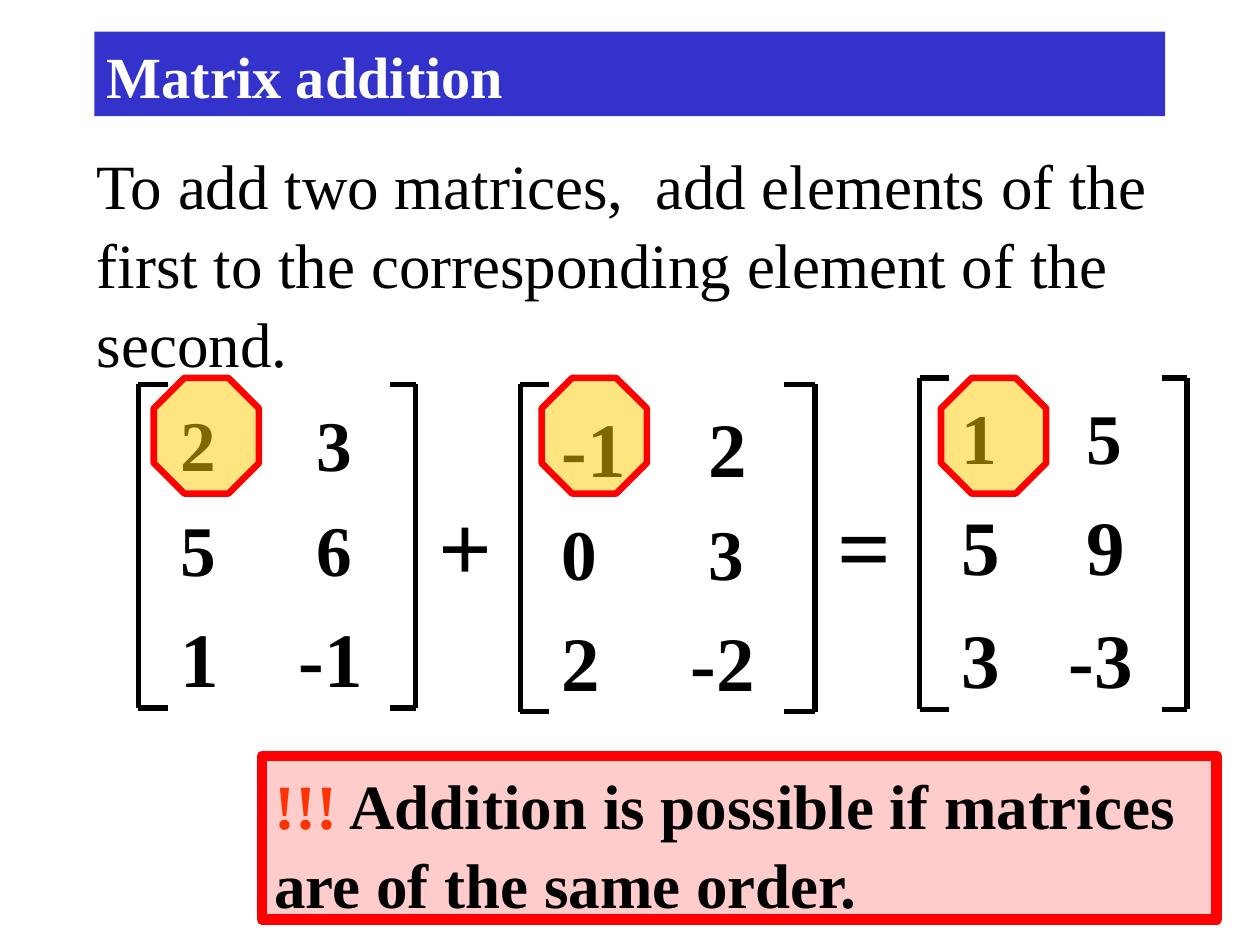
"""Build a slide that explains matrix addition with one worked sum."""
from lxml import etree
from pptx import Presentation
from pptx.dml.color import RGBColor
from pptx.enum.shapes import MSO_CONNECTOR, MSO_SHAPE
from pptx.enum.text import MSO_ANCHOR, MSO_AUTO_SIZE, PP_ALIGN
from pptx.oxml.ns import qn
from pptx.util import Cm, Pt

LINE = MSO_CONNECTOR.STRAIGHT
OCTAGON, RECT = MSO_SHAPE.OCTAGON, MSO_SHAPE.RECTANGLE
TOP, MIDDLE = MSO_ANCHOR.TOP, MSO_ANCHOR.MIDDLE
FIXED, LEFT = MSO_AUTO_SIZE.NONE, PP_ALIGN.LEFT

THEME = {
    "font": "Times New Roman",
    "ink": "000000", "white": "FFFFFF", "bar": "3333CC", "red": "FF0000",
    "alert": "FF3300", "pink": "FFCCCC", "gold": "FFCC00",
    "title": 33.3, "body": 36, "sign": 54, "small": 40.7, "large": 44,
    "bracket": 3, "ring": 3.75, "frame": 6,
}

TITLE = "Matrix addition"
BODY = ("To add two matrices,  add elements of the first "
        "to the corresponding element of the second.")
NOTE = [("!!!", "alert"),
        (" Addition is possible if matrices are of the same order.", "ink")]
MATRICES = [
    {"cells": [("2", "3"), ("5", "6"), ("1", "-1")], "ring": 3.1,
     "xs": (2.79, 3.38, 5.77, 7.87, 8.38), "ys": (7.75, 9.88, 11.99, 14.27)},
    {"cells": [("-1", "2"), ("0", "3"), ("2", "-2")], "ring": 10.92,
     "xs": (10.49, 11.07, 13.67, 15.8, 16.43), "ys": (7.75, 9.96, 12.07, 14.35)},
    {"cells": [("1", "5"), ("5", "9"), ("3", "-3")], "ring": 18.97,
     "xs": (18.54, 19.13, 21.29, 23.42, 23.93), "ys": (7.62, 9.73, 12.01, 14.3)},
]
SIGNS = [("+", 8.59), ("=", 16.64)]


def color(name):
    return RGBColor.from_string(THEME[name])


def area(*sides):
    return [Cm(side) for side in sides]


def place(shape, box):
    shape.left, shape.top, shape.width, shape.height = area(*box)


def write(shape, runs, size, bold=True, anchor=TOP, left=0.25, top=0.13):
    frame = shape.text_frame
    frame.auto_size, frame.word_wrap = FIXED, True
    frame.vertical_anchor = anchor
    frame.margin_left, frame.margin_right = Cm(left), Cm(0.25)
    frame.margin_top, frame.margin_bottom = Cm(top), Cm(0.13)
    para = frame.paragraphs[0]
    para.alignment, para.line_spacing = LEFT, 1.05
    para.space_before = Pt(0)
    for text, ink in runs:
        run = para.add_run()
        run.text = text
        run.font.color.rgb = color(ink)
    font = para.font
    font.name, font.size, font.bold = THEME["font"], Pt(THEME[size]), bold
    return para


def paint(shape, fill, line=None, width=None):
    shape.fill.solid()
    shape.fill.fore_color.rgb = color(fill)
    if line:
        shape.line.color.rgb = color(line)
        shape.line.width = Pt(THEME[width])


def draw(shapes, kind, box, fill, line, width):
    shape = shapes.add_shape(kind, *area(*box))
    shape.shadow.inherit = False
    paint(shape, fill, line, width)
    return shape


def stroke(shapes, *ends):
    line = shapes.add_connector(LINE, *area(*ends))
    line.line.color.rgb = color("ink")
    line.line.width = Pt(THEME["bracket"])
    etree.SubElement(line._element.spPr, qn("a:effectLst"))


def bracket(shapes, outer, inner, top, foot):
    for y in (top, foot):
        stroke(shapes, outer, y, inner, y)
    stroke(shapes, outer, top, outer, foot)


def matrix(shapes, data):
    start, first, second, end, edge = data["xs"]
    rows = data["ys"]
    for top, foot, pair in zip(rows, rows[1:], data["cells"]):
        tall = foot - top
        size = "large" if tall > 2.15 else "small"
        for col, text in enumerate(pair):
            x, right = ((first, second), (second, end))[col]
            pad = 0.61 if col and len(text) == 1 else 0.25
            cell = shapes.add_textbox(*area(x, top, right - x, tall))
            write(cell, [(text, "ink")], size, left=pad, top=0.23)
    bracket(shapes, start, first, rows[0], rows[-1])
    bracket(shapes, edge, end, rows[0], rows[-1])


def ring(shapes, x):
    shape = draw(shapes, OCTAGON, (x, 7.62, 2.12, 2.33), "gold", "red", "ring")
    shape.adjustments[0] = 0.29
    tint = shape._element.spPr.find(qn("a:solidFill"))[0]
    etree.SubElement(tint, qn("a:alpha"), val="50000")


def main():
    deck = Presentation()
    deck.slide_width, deck.slide_height = Cm(25.4), Cm(19.05)
    slide = deck.slides.add_slide(deck.slide_layouts[1])
    shapes = slide.shapes

    title, body = shapes.title, slide.placeholders[1]
    place(title, (1.9, 0.64, 21.59, 1.7))
    paint(title, "bar")
    write(title, [(TITLE, "white")], "title", anchor=MIDDLE)
    place(body, (1.7, 2.74, 22.43, 4.83))
    props = write(body, [(BODY, "ink")], "body", bold=False)._p.get_or_add_pPr()
    props.set("marL", "0")
    props.set("indent", "0")
    props.find(qn("a:spcBef")).addnext(etree.Element(qn("a:buNone")))

    for data in MATRICES:
        matrix(shapes, data)
    for text, x in SIGNS:
        sign = shapes.add_textbox(*area(x, 9.58, 1.47, 4.83))
        write(sign, [(text, "ink")], "sign")
    for data in MATRICES:
        ring(shapes, data["ring"])
    note = draw(shapes, RECT, (5.28, 15.24, 19.25, 3.3), "pink", "red", "frame")
    write(note, NOTE, "body")
    deck.save("out.pptx")


if __name__ == "__main__":
    main()
